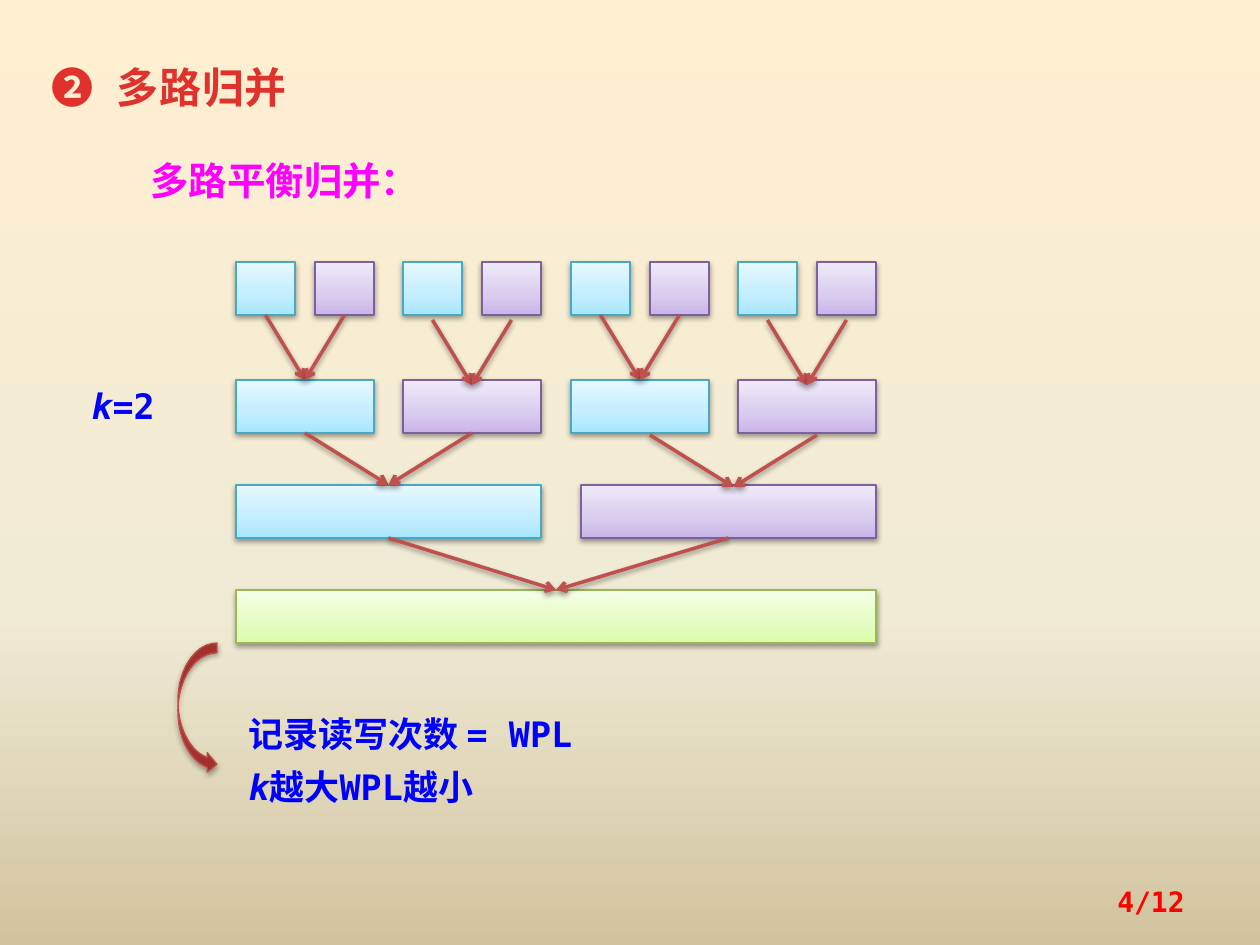
from dataclasses import dataclass

from lxml.etree import SubElement
from pptx import Presentation
from pptx.dml.color import RGBColor
from pptx.enum.shapes import MSO_CONNECTOR, MSO_SHAPE
from pptx.enum.text import MSO_ANCHOR, PP_ALIGN
from pptx.oxml.ns import qn
from pptx.util import Pt

PX = 914400 / 126
TOP, BOTTOM = 0, 2
UPWARD, DOWNWARD = 90, 270


@dataclass(frozen=True)
class Theme:
    font: str = "DejaVu Sans Mono"
    title_size: int = 24
    heading_size: int = 22
    body_size: int = 20
    number_size: int = 16
    leading: int = 30
    heading: str = "FF00FF"
    body: str = "0000FF"
    number: str = "FF0000"
    arrow: str = "C0504D"
    backdrop: tuple = ((0, "FFEFD1"), (65, "F0EBD5"), (100, "D1C39F"))
    title: tuple = ((25, "E0322D"), (100, "A2201C"))
    # Each block style is (gradient stops, outline colour).
    blue: tuple = (((0, "A7E6FF"), (35, "C1EDFF"), (100, "E7F8FF")), "46AAC5")
    purple: tuple = (((0, "C9B5E8"), (35, "D8CBEE"), (100, "F0EAF9")), "7D60A0")
    green: tuple = (((0, "DAFDA7"), (35, "E4FCC2"), (100, "F5FFE7")), "98B955")
    red: tuple = (((0, "9C2F2D"), (80, "CB3E3A"), (100, "CE3B37")), "BF4C48")


THEME = Theme()


def px(*lengths):
    return [round(length * PX) for length in lengths]


def apply(target, values):
    for name, value in values.items():
        setattr(target, name, value)


def paint_gradient(fill, holder, stops, angle):
    """Fill with any number of stops; holder is the XML element owning the fill."""
    fill.gradient()
    fill.gradient_angle = angle
    stop_list = holder.find(".//" + qn("a:gsLst"))
    for stop in list(stop_list):
        stop_list.remove(stop)
    for position, color in stops:
        stop = SubElement(stop_list, qn("a:gs"), pos=str(position * 1000))
        SubElement(stop, qn("a:srgbClr"), val=color)


def add_shadow(shape, opacity=38):
    effects = SubElement(shape._element.spPr, qn("a:effectLst"))
    shadow = SubElement(effects, qn("a:outerShdw"), blurRad="40000", dist="20000",
                        dir="5400000", rotWithShape="0")
    color = SubElement(shadow, qn("a:srgbClr"), val="000000")
    SubElement(color, qn("a:alpha"), val=str(opacity * 1000))


def add_block(page, box, style, kind=MSO_SHAPE.RECTANGLE, opacity=38):
    stops, outline = style
    shape = page.shapes.add_shape(kind, *px(*box))
    paint_gradient(shape.fill, shape._element.spPr, stops, UPWARD)
    shape.line.color.rgb = RGBColor.from_string(outline)
    shape.line.width = Pt(0.75)
    add_shadow(shape, opacity)
    return shape


def add_text(page, box, lines, size, color=None, align=PP_ALIGN.LEFT,
             anchor=MSO_ANCHOR.TOP, leading=THEME.leading):
    """Place lines, each a list of (text, italic) spans; returns the text frame."""
    frame = page.shapes.add_textbox(*px(*box)).text_frame
    apply(frame, {"word_wrap": True, "vertical_anchor": anchor})
    for index, line in enumerate(lines):
        para = frame.add_paragraph() if index else frame.paragraphs[0]
        apply(para, {"alignment": align, "line_spacing": Pt(leading) if leading else None})
        for text, italic in line:
            span = para.add_run()
            span.text = text
            apply(span.font, {"name": THEME.font, "size": Pt(size),
                              "bold": True, "italic": italic})
            if color:
                span.font.color.rgb = RGBColor.from_string(color)
    return frame


def add_title(page, box):
    frame = add_text(page, box, [[("❷\t多路归并", False)]], THEME.title_size)
    para = frame.paragraphs[0]
    span = para.runs[0]
    tabs = SubElement(para._p.get_or_add_pPr(), qn("a:tabLst"))
    SubElement(tabs, qn("a:tab"), pos=str(px(65)[0]), algn="l")
    paint_gradient(span.font.fill, span._r, THEME.title, DOWNWARD)
    span._r.get_or_add_rPr().set("spc", "50")


def add_merge(page, sources, target, drift=None):
    """Point arrows from the sources to the target; drift moves them off the sides."""
    starts = [(s.left + s.width // 2, s.top + s.height) for s in sources]
    end = (sum(x for x, _ in starts) // 2, target.top)
    dx, dy = px(*(drift or (0, 0)))
    for source, start in zip(sources, starts):
        arrow = page.shapes.add_connector(MSO_CONNECTOR.STRAIGHT, start[0] + dx, start[1] + dy,
                                          end[0] + dx, end[1] + dy)
        if drift is None:
            arrow.begin_connect(source, BOTTOM)
            arrow.end_connect(target, TOP)
        arrow.line.color.rgb = RGBColor.from_string(THEME.arrow)
        arrow.line.width = Pt(2)
        SubElement(arrow.line._get_or_add_ln(), qn("a:tailEnd"), type="arrow")
        add_shadow(arrow)


def add_merge_tree(page, box):
    left, top, width, _ = box
    height = 53
    pair_styles = (THEME.blue, THEME.purple)
    runs, pairs = [], []
    for column in range(4):
        x = left + 335 * column // 2
        runs.append([add_block(page, (x + 79 * side, top, 59, height), style)
                     for side, style in enumerate(pair_styles)])
        pairs.append(add_block(page, (x, top + 118, 138, height), pair_styles[column % 2]))
    halves = [add_block(page, (left, top + 223, 305, height), THEME.blue),
              add_block(page, (left + width - 295, top + 223, 295, height), THEME.purple)]
    whole = add_block(page, (left, top + 328, width, height), THEME.green)

    for column, (sources, target) in enumerate(zip(runs, pairs)):
        add_merge(page, sources, target, (0, 5) if column % 2 else None)
    add_merge(page, pairs[:2], halves[0])
    add_merge(page, pairs[2:], halves[1], (10, 2))
    add_merge(page, halves, whole)


def add_conclusion(page, box):
    left, top, width, height = box
    add_text(page, (left + 58, top + 53, width - 58, height - 53),
             [[("记录读写次数 = WPL", False)], [("k", True), ("越大WPL越小", False)]],
             THEME.body_size, THEME.body)
    add_block(page, (left, top, 39, 131), THEME.red, MSO_SHAPE.CURVED_RIGHT_ARROW, 35)


def main():
    deck = Presentation()
    deck.slide_width, deck.slide_height = px(1260, 945)
    page = deck.slides.add_slide(deck.slide_layouts[6])
    paint_gradient(page.background.fill, page._element, THEME.backdrop, DOWNWARD)
    add_title(page, (39, 53, 335, 66))
    add_text(page, (138, 145, 300, 66), [[("多路平衡归并：", False)]],
             THEME.heading_size, THEME.heading)
    add_merge_tree(page, (236, 262, 640, 381))
    add_text(page, (79, 368, 98, 66), [[("k", True), ("=2", False)]],
             THEME.body_size, THEME.body)
    add_conclusion(page, (178, 643, 481, 171))
    add_text(page, (903, 876, 294, 50), [[("4/12", False)]], THEME.number_size, THEME.number,
             PP_ALIGN.RIGHT, MSO_ANCHOR.MIDDLE, None)
    deck.save("out.pptx")


if __name__ == "__main__":
    main()
